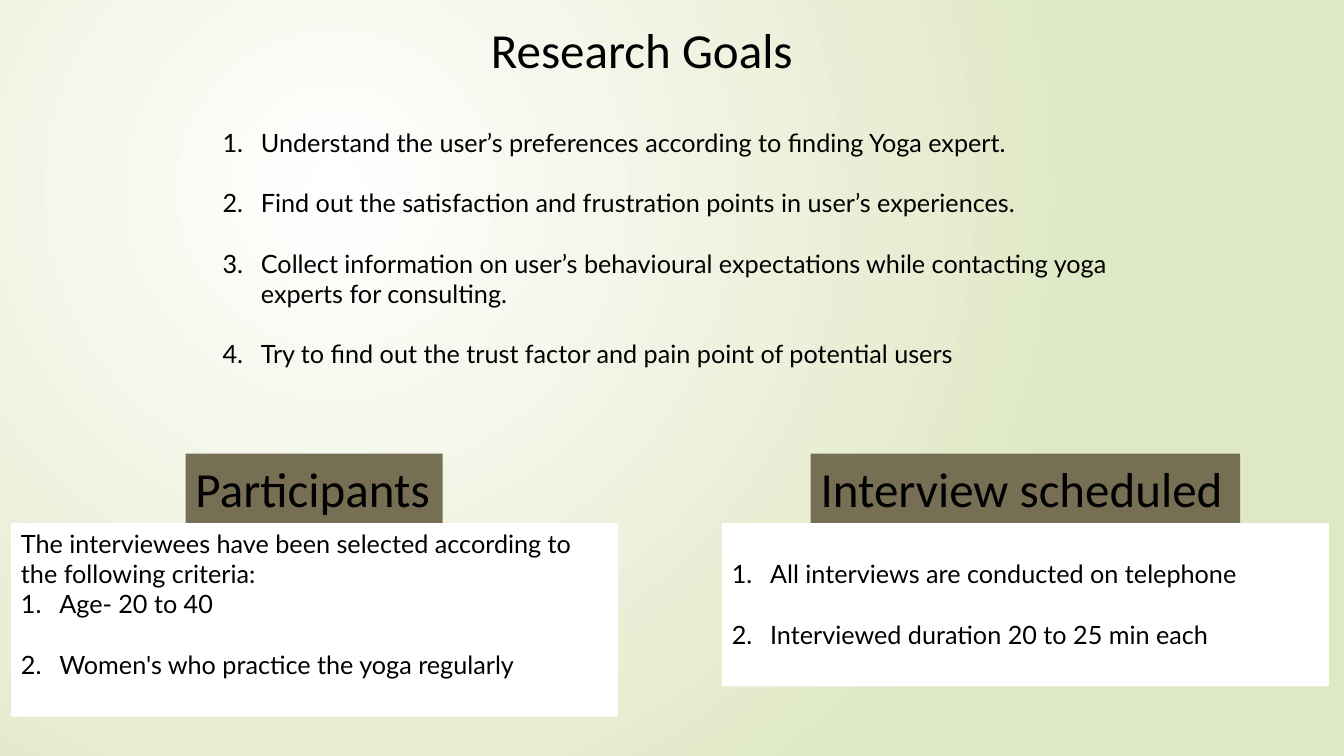
import pptx
import pptx.util
import pptx.oxml
import pptx.dml.color
import pptx.enum.text
import pptx.enum.shapes

Inches, Pt = pptx.util.Inches, pptx.util.Pt

THEME = {
    "head": ("Calibri", 35), "body": ("Lato", 18),
    "ink": "000000", "label": "766F54", "panel": "FFFFFF",
    "glow": "FFFFFF", "edge": "DFE8C4",
}

TITLE = "Research Goals"
GOALS = [
    "Understand the user’s preferences according to finding Yoga expert.",
    "Find out the satisfaction and frustration points in user’s experiences.",
    "Collect information on user’s behavioural expectations while contacting yoga experts for consulting.",
    "Try to find out the trust factor and pain point of potential users",
]
CARDS = [
    {"name": "Participants", "name_left": 1.84, "name_width": 2.55,
     "left": 0.11, "height": 1.92, "top_gap": 0,
     "intro": "The interviewees have been selected according to the following criteria:",
     "items": ["Age- 20 to 40", "Women's who practice the yoga regularly"]},
    {"name": "Interview scheduled", "name_left": 8.04, "name_width": 4.26,
     "left": 7.16, "height": 1.62, "top_gap": 0.3, "intro": None,
     "items": ["All interviews are conducted on telephone",
               "Interviewed duration 20 to 25 min each"]},
]
NAME_TOP, NAME_HIGH, CARD_WIDTH = 4.5, 0.69, 6.02
LINE_GAP, HANG = 21.6, 0.38
NS = ('xmlns:a="http://schemas.openxmlformats.org/drawingml/2006/main" '
      'xmlns:p="http://schemas.openxmlformats.org/presentationml/2006/main"')


def color(key):
    return pptx.dml.color.RGBColor.from_string(THEME[key])


def number(par):
    props = par._p.get_or_add_pPr()
    props.set("marL", str(Inches(HANG)))
    props.set("indent", str(-Inches(HANG)))
    props.append(pptx.oxml.parse_xml(f'<a:buFont {NS} typeface="+mj-lt"/>'))
    props.append(pptx.oxml.parse_xml(f'<a:buAutoNum {NS} type="arabicPeriod"/>'))


def add_text(shapes, box, items=(), intro=None, style="body", fill=None, top_gap=0):
    place = [Inches(n) for n in box]
    if fill:
        shape = shapes.add_shape(pptx.enum.shapes.MSO_SHAPE.RECTANGLE, *place)
        shape.shadow.inherit = False
        shape.fill.solid()
        shape.fill.fore_color.rgb = color(fill)
        shape.line.fill.background()
    else:
        shape = shapes.add_textbox(*place)
    frame = shape.text_frame
    frame.word_wrap = True
    frame.vertical_anchor = pptx.enum.text.MSO_ANCHOR.TOP
    frame.margin_top = Inches(0.05 + top_gap)
    lines = ([(intro, False)] if intro else []) + [(item, True) for item in items]
    listed = False
    for spot, (text, counted) in enumerate(lines):
        par = frame.add_paragraph() if spot else frame.paragraphs[0]
        par.alignment = pptx.enum.text.PP_ALIGN.LEFT
        if listed:
            par.space_before = Pt(LINE_GAP)
        if counted:
            number(par)
        listed = counted
        run = par.add_run()
        run.text = text
        face, size = THEME[style]
        run.font.name, run.font.size = face, Pt(size)
        run.font.color.rgb = color("ink")


def add_glow(slide):
    slide.element.cSld.insert(0, pptx.oxml.parse_xml(
        f'<p:bg {NS}><p:bgPr><a:gradFill rotWithShape="1"><a:gsLst>'
        f'<a:gs pos="0"><a:srgbClr val="{THEME["glow"]}"/></a:gs>'
        f'<a:gs pos="100000"><a:srgbClr val="{THEME["edge"]}"/></a:gs></a:gsLst>'
        '<a:path path="circle"><a:fillToRect l="50000" t="50000" r="100000" b="100000"/>'
        '</a:path></a:gradFill><a:effectLst/></p:bgPr></p:bg>'))


def main():
    deck = pptx.Presentation()
    deck.slide_width, deck.slide_height = Inches(13.33), Inches(7.5)
    slide = deck.slides.add_slide(deck.slide_layouts[6])
    add_glow(slide)
    add_text(slide.shapes, (4.77, 0.14, 3.31, NAME_HIGH), intro=TITLE, style="head")
    add_text(slide.shapes, (2.11, 1.21, 9.37, 2.52), GOALS)
    for card in CARDS:
        group = slide.shapes.add_group_shape()
        add_text(group.shapes, (card["name_left"], NAME_TOP, card["name_width"], NAME_HIGH),
                 intro=card["name"], style="head", fill="label")
        add_text(group.shapes, (card["left"], NAME_TOP + NAME_HIGH, CARD_WIDTH, card["height"]),
                 card["items"], intro=card["intro"], fill="panel", top_gap=card["top_gap"])
    deck.save("out.pptx")


if __name__ == "__main__":
    main()
